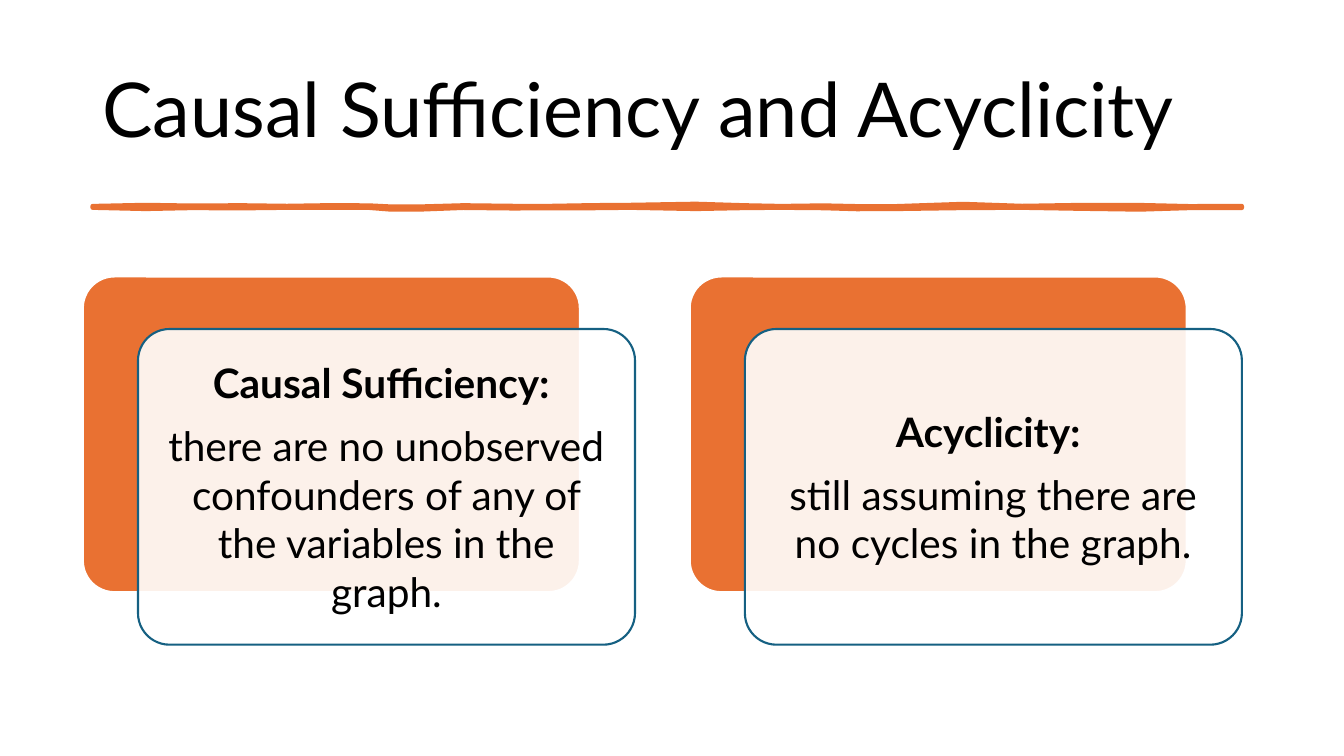
from lxml import etree
from pptx import Presentation
from pptx.dml.color import RGBColor
from pptx.enum.shapes import MSO_SHAPE
from pptx.enum.text import MSO_ANCHOR, MSO_AUTO_SIZE, PP_ALIGN
from pptx.oxml.ns import qn
from pptx.util import Pt

ROUNDED = MSO_SHAPE.ROUNDED_RECTANGLE
MIDDLE = MSO_ANCHOR.MIDDLE
LEFT, CENTER = PP_ALIGN.LEFT, PP_ALIGN.CENTER
NO_FIT = MSO_AUTO_SIZE.NONE

# Content
TITLE = "Causal Sufficiency and Acyclicity"
CARDS = [
    ("Causal Sufficiency: ",
     "there are no unobserved confounders of any of the variables in the graph."),
    ("Acyclicity: ", "still assuming there are no cycles in the graph."),
]

# Style
FONT = "Lato"
ORANGE = RGBColor(0xE9, 0x71, 0x32)
BLUE = RGBColor(0x15, 0x60, 0x82)
WHITE = RGBColor(0xFF, 0xFF, 0xFF)
BLACK = RGBColor(0x00, 0x00, 0x00)

# Layout, in points
TITLE_BOX = (66, 28.8, 828, 104.4)
CARD_LEFT, CARD_TOP = 59.2, 197.5
CARD_WIDTH, CARD_HEIGHT = 355, 225.5
CARD_STEP = 433.5
FRONT_SHIFT = (39.4, 37.5)
CARD_INSET = 8.64

# Brush stroke: x, upper edge and lower edge
STROKE = [
    (66.2, 147.3, 148.3), (104, 146.5, 149.2), (137, 147, 148.5),
    (172, 146.8, 148.7), (205, 147.2, 148.3), (238, 146.7, 148.3),
    (264, 146.9, 148.4), (278, 147.6, 149.5), (302, 147.6, 149.5),
    (331, 146.8, 148.4), (367, 147.2, 148.8), (394, 147.2, 148.6),
    (424, 146.7, 148.6), (450, 146.5, 148.3), (497, 145.7, 149.2),
    (532, 146.8, 148.5), (558, 147.3, 148.3), (588, 146.9, 148.6),
    (612, 147.4, 149.3), (640, 147.4, 149.2), (688, 145.8, 148.5),
    (730, 147.2, 148.3), (770, 146.6, 149), (814, 146.6, 149.6),
    (850, 147.4, 148.5), (887, 147.2, 148.5),
]


def style_text(para, size, bold=False):
    for span in para.runs:
        span.font.name = FONT
        span.font.size = Pt(size)
        span.font.bold = bold
        span.font.color.rgb = BLACK


def add_panel(page, left, top, fill, line):
    panel = page.shapes.add_shape(
        ROUNDED, Pt(left), Pt(top), Pt(CARD_WIDTH), Pt(CARD_HEIGHT))
    panel.adjustments[0] = 0.1
    panel.shadow.inherit = False
    panel.fill.solid()
    panel.fill.fore_color.rgb = fill
    panel.line.color.rgb = line
    panel.line.width = Pt(1.5)
    return panel


def add_title(page):
    title = page.shapes.title
    title.left, title.top, title.width, title.height = map(Pt, TITLE_BOX)
    frame = title.text_frame
    frame.text = TITLE
    frame.word_wrap = True
    frame.auto_size = NO_FIT
    frame.vertical_anchor = MIDDLE
    para = frame.paragraphs[0]
    para.alignment = LEFT
    para.line_spacing = 0.9
    style_text(para, 54)


def add_stroke(page):
    upper = [(Pt(x), Pt(y)) for x, y, _ in STROKE]
    lower = [(Pt(x), Pt(y)) for x, _, y in reversed(STROKE)]
    builder = page.shapes.build_freeform(*upper[0])
    builder.add_line_segments(upper[1:] + lower, close=True)
    stroke = builder.convert_to_shape()
    stroke.shadow.inherit = False
    stroke.fill.solid()
    stroke.fill.fore_color.rgb = ORANGE
    stroke.line.color.rgb = ORANGE
    stroke.line.width = Pt(3.25)
    # Rounded corners on the outline
    etree.SubElement(stroke.line._get_or_add_ln(), qn("a:round"))


def add_card(page, left, heading, body):
    add_panel(page, left, CARD_TOP, ORANGE, WHITE)
    front = add_panel(page, left + FRONT_SHIFT[0], CARD_TOP + FRONT_SHIFT[1],
                      WHITE, BLUE)
    # Slightly transparent white
    color = front.fill._xPr.find(qn("a:solidFill"))[0]
    etree.SubElement(color, qn("a:alpha"), val="90000")

    frame = front.text_frame
    frame.word_wrap = True
    frame.vertical_anchor = MIDDLE
    frame.margin_left = frame.margin_right = Pt(CARD_INSET)
    frame.margin_top = frame.margin_bottom = Pt(CARD_INSET)
    frame.text = heading + "\n" + body
    for index, para in enumerate(frame.paragraphs):
        para.alignment = CENTER
        para.space_after = Pt(10)
        style_text(para, 29, bold=index == 0)


def main():
    deck = Presentation()
    deck.slide_width, deck.slide_height = Pt(960), Pt(540)
    page = deck.slides.add_slide(deck.slide_layouts.get_by_name("Title Only"))
    add_title(page)
    add_stroke(page)
    for index, (heading, body) in enumerate(CARDS):
        add_card(page, CARD_LEFT + index * CARD_STEP, heading, body)
    deck.save("out.pptx")


if __name__ == "__main__":
    main()
